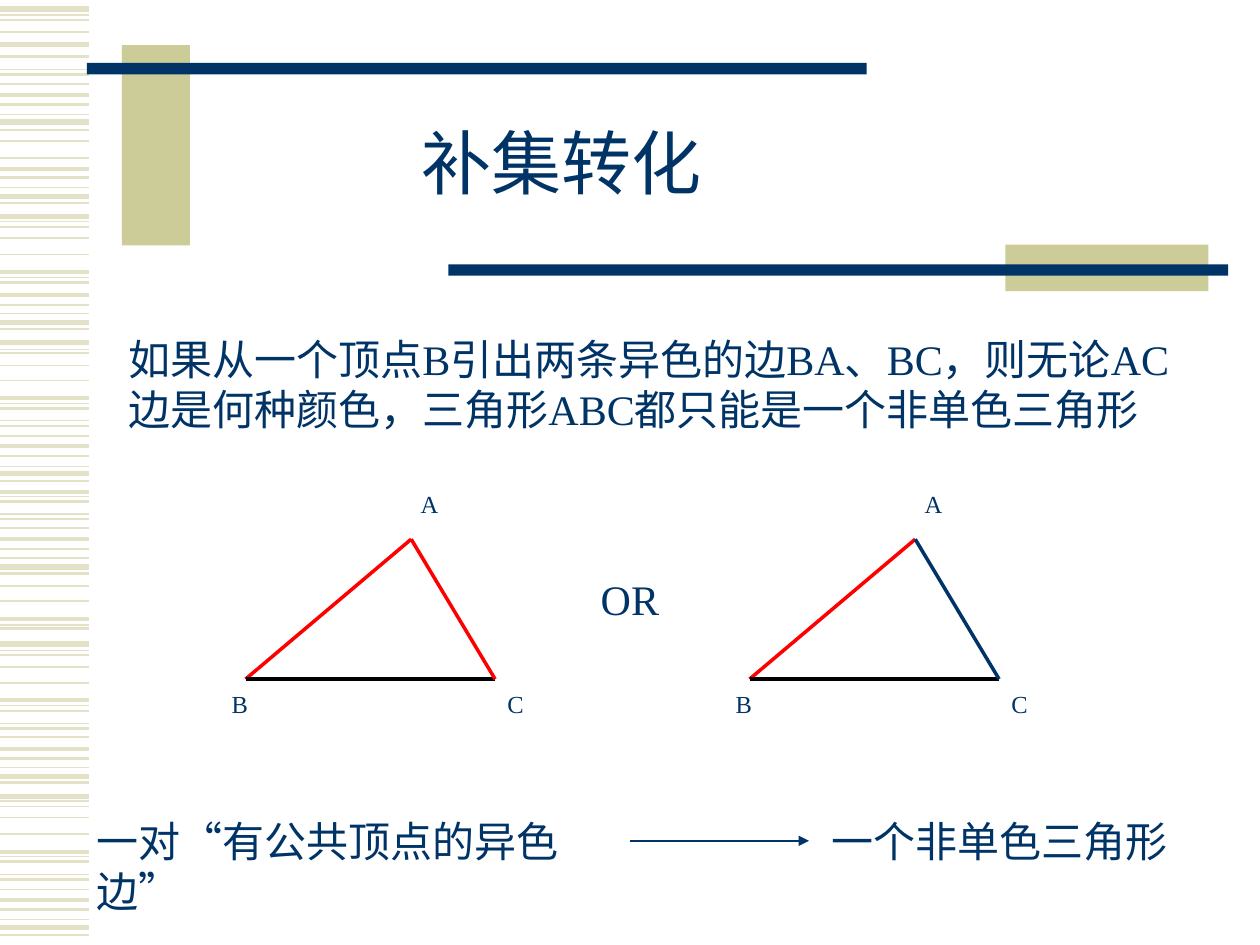
from dataclasses import dataclass

from lxml import etree
from pptx import Presentation
from pptx import util as u
from pptx.dml.color import RGBColor
from pptx.enum import shapes, text
from pptx.oxml import ns


@dataclass(frozen=True)
class Theme:
    font: str = "Times New Roman"
    navy: str = "003366"
    khaki: str = "CCCC99"
    stripe: str = "E3E2C7"
    red: str = "FF0000"
    black: str = "000000"
    white: str = "FFFFFF"
    title_size: int = 40
    body_size: int = 24
    label_size: int = 14


THEME = Theme()

# Stripe heights on the left margin in cm, by line weight in points
STRIPES = {
    3: (0.18, 0.89, 2.46, 3.96, 4.37, 6.5, 6.91, 9.55, 11.43, 12.98, 15.65,
        16.05, 18.69),
    2.25: (1.91, 3.4, 5.49, 5.94, 8.03, 8.99, 9.91, 10.87, 12.47, 14.12,
           15.09, 17.17, 18.14),
    1.5: (1.14, 1.5, 2.11, 2.62, 3.58, 4.09, 5.69, 6.15, 6.63, 8.23, 8.59,
          9.19, 9.7, 10.11, 10.46, 11.07, 11.56, 12.67, 14.33, 14.68, 15.29,
          15.77, 17.37, 17.73, 18.34, 18.85),
    1: (0.41, 0.64, 1.7, 2.84, 3.18, 4.57, 4.8, 5.13, 7.11, 7.37, 7.67, 8.79,
        10.64, 11.81, 12.12, 13.21, 13.44, 13.77, 14.86, 16.26, 16.48, 16.81,
        17.93),
    0.75: (0.3, 1.4, 2.31, 3.78, 4.47, 5.59, 6.32, 7.04, 8.13, 8.48, 9.4,
           10.01, 10.36, 11.25, 12.6, 13.11, 14.22, 14.58, 15.47, 16.15,
           17.27, 17.63, 18.54),
}


def add_line(slide, start, end, color, weight, arrow=False):
    points = [u.Cm(value) for value in (*start, *end)]
    line = slide.shapes.add_connector(shapes.MSO_CONNECTOR.STRAIGHT, *points)
    line.line.color.rgb = RGBColor.from_string(color)
    line.line.width = u.Pt(weight)
    if arrow:
        etree.SubElement(line.line._get_or_add_ln(), ns.qn("a:tailEnd"),
                         type="triangle")
    etree.SubElement(line._element.spPr, ns.qn("a:effectLst"))


def add_rectangle(slide, box, color):
    shape = slide.shapes.add_shape(shapes.MSO_SHAPE.RECTANGLE,
                                   *[u.Cm(value) for value in box])
    shape.shadow.inherit = False
    shape.fill.solid()
    shape.fill.fore_color.rgb = RGBColor.from_string(color)
    shape.line.fill.background()
    return shape


def write(shape, words, size, align=text.PP_ALIGN.LEFT,
          anchor=text.MSO_ANCHOR.TOP):
    frame = shape.text_frame
    frame.word_wrap = True
    frame.auto_size = text.MSO_AUTO_SIZE.NONE
    frame.vertical_anchor = anchor
    paragraph = frame.paragraphs[0]
    paragraph.alignment = align
    run = paragraph.add_run()
    run.text = words
    run.font.name = THEME.font
    run.font.size = u.Pt(size)
    run.font.color.rgb = RGBColor.from_string(THEME.navy)
    return paragraph


def add_text(slide, box, words):
    shape = slide.shapes.add_textbox(*[u.Cm(value) for value in box])
    write(shape, words, THEME.body_size)


def add_margin(slide, left, width):
    for weight, heights in STRIPES.items():
        for y in heights:
            add_line(slide, (left, y), (left + width, y), THEME.stripe, weight)


def add_header(slide, left, top):
    # Each khaki block is crossed by a navy bar
    for x, y, width, height, color in (
        (0.71, 0, 1.37, 4.04, THEME.khaki),
        (0, 0.36, 15.72, 0.23, THEME.navy),
        (18.52, 4.02, 4.09, 0.94, THEME.khaki),
        (7.29, 4.42, 15.72, 0.23, THEME.navy),
    ):
        add_rectangle(slide, (left + x, top + y, width, height), color)

    title = slide.shapes.title
    title.left, title.top = u.Cm(left + 6.3), u.Cm(top + 1.63)
    title.width, title.height = u.Cm(6.55), u.Cm(1.7)
    paragraph = write(title, "补集转化", THEME.title_size,
                      text.PP_ALIGN.CENTER, text.MSO_ANCHOR.MIDDLE)
    paragraph.line_spacing = 0.85


def add_triangle(slide, left, top, right_side_color):
    a, b, c = [(left + x, top + y)
               for x, y in ((3.87, 1.14), (0.53, 3.96), (5.56, 3.96))]
    for start, end, color in ((a, b, THEME.red), (b, c, THEME.black),
                              (a, c, right_side_color)):
        add_line(slide, start, end, color, 2)
    for name, x, y in (("A", 3.81, 0), ("B", 0, 4.04), ("C", 5.56, 4.04)):
        label = add_rectangle(slide, (left + x, top + y, 1.68, 1.07),
                              THEME.white)
        write(label, name, THEME.label_size, text.PP_ALIGN.JUSTIFY)


def add_conclusion(slide, left, top):
    add_text(slide, (left, top, 10.8, 2.29), "一对“有公共顶点的异色边”")
    add_line(slide, (left + 11, top + 0.64), (left + 14.61, top + 0.64),
             THEME.navy, 1.25, arrow=True)
    add_text(slide, (left + 14.81, top, 7.82, 1.27), "一个非单色三角形")


def main():
    presentation = Presentation()
    presentation.slide_width, presentation.slide_height = u.Cm(25.4), u.Cm(19.05)
    slide = presentation.slides.add_slide(presentation.slide_layouts[5])

    # Decoration and title
    add_margin(slide, 0, 1.8)
    add_header(slide, 1.75, 0.91)

    # Statement
    add_text(slide, (2.34, 6.6, 21.79, 3.3),
             "如果从一个顶点B引出两条异色的边BA、BC，则无论AC边是何种颜色，"
             "三角形ABC都只能是一个非单色三角形")

    # The two cases
    for left, color in ((4.42, THEME.red), (14.58, THEME.navy)):
        add_triangle(slide, left, 9.73, color)
    add_text(slide, (11.86, 11.43, 1.7, 1.27), "OR")

    # Conclusion
    add_conclusion(slide, 1.7, 16.31)
    presentation.save("out.pptx")


if __name__ == "__main__":
    main()
